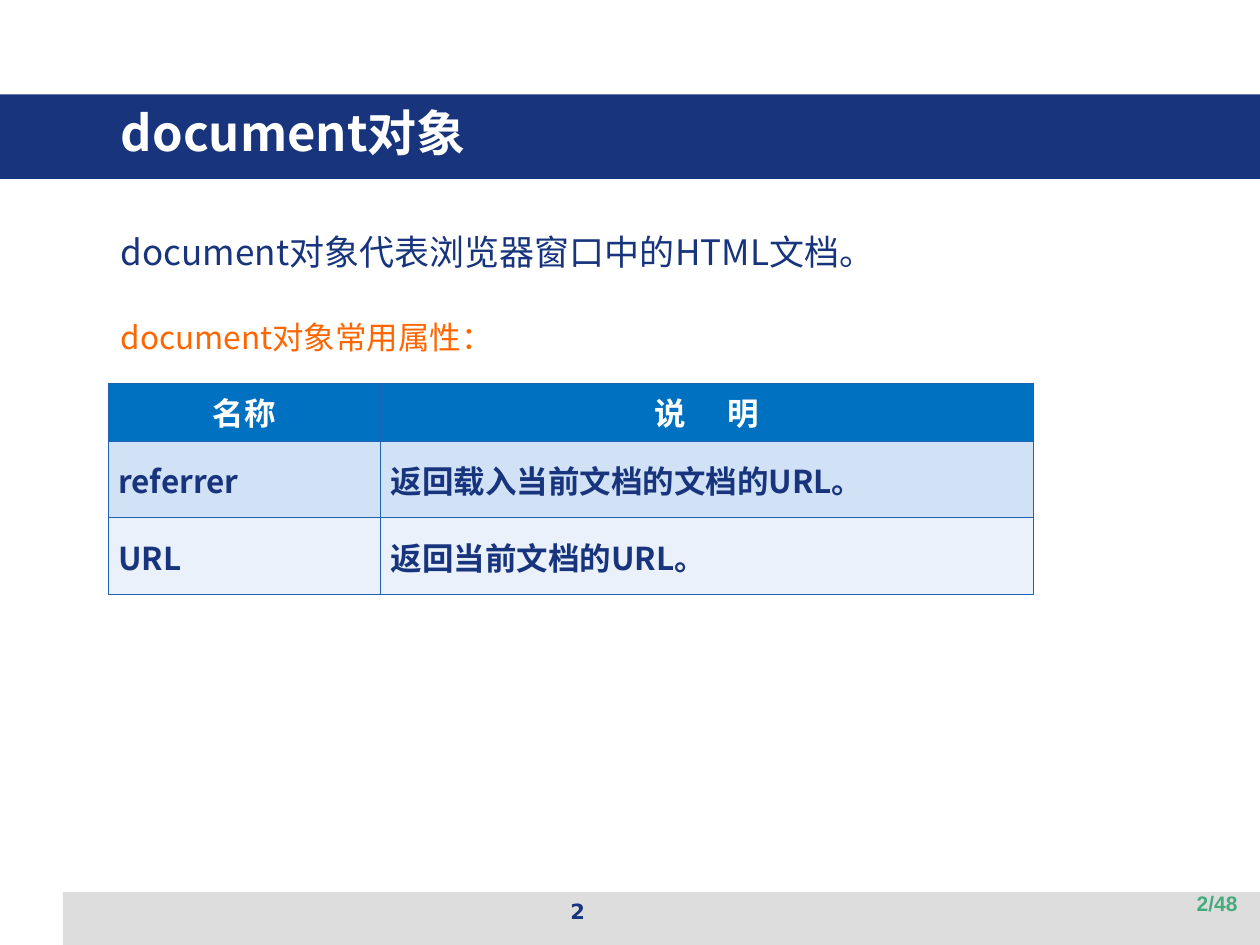
from lxml import etree
from pptx import Presentation
from pptx.dml.color import RGBColor
from pptx.enum.shapes import MSO_SHAPE
from pptx.enum.text import MSO_ANCHOR, PP_ALIGN
from pptx.oxml.ns import qn
from pptx.util import Inches, Pt

RECT = MSO_SHAPE.RECTANGLE
TOP, MIDDLE = MSO_ANCHOR.TOP, MSO_ANCHOR.MIDDLE
LEFT, CENTER, RIGHT = PP_ALIGN.LEFT, PP_ALIGN.CENTER, PP_ALIGN.RIGHT

NAVY = RGBColor(0x17, 0x34, 0x7D)
WHITE = RGBColor(0xFF, 0xFF, 0xFF)
GRAY = RGBColor(0xDD, 0xDD, 0xDD)
ORANGE = RGBColor(0xFF, 0x66, 0x00)
GREEN = RGBColor(0x45, 0xAB, 0x7D)
BLUE = RGBColor(0x00, 0x70, 0xC0)
PALE = RGBColor(0xD2, 0xE2, 0xF6)
LIGHT = RGBColor(0xEA, 0xF1, 0xFB)
EDGE = RGBColor(0x20, 0x62, 0xB4)
SANS = "Noto Sans CJK SC"


class Deck:
    def __init__(self):
        self.prs = Presentation()
        self.prs.slide_width, self.prs.slide_height = Inches(10), Inches(7.5)
        self.slide = self.prs.slides.add_slide(self.prs.slide_layouts[5])
        self.base = {"name": SANS, "size": Pt(18), "color": NAVY, "bold": False}

    def put(self, para, text, align=LEFT, gap=0, **style):
        para.alignment = align
        if gap:
            para.space_before = Pt(gap)
        run = para.add_run()
        run.text = text
        for key, value in {**self.base, **style}.items():
            if key == "color":
                run.font.color.rgb = value
            else:
                setattr(run.font, key, value)
        props = run._r.get_or_add_rPr()
        etree.SubElement(props, qn("a:ea")).set("typeface", SANS)
        return props

    def bar(self, box, color):
        shape = self.slide.shapes.add_shape(RECT, *map(Inches, box))
        shape.shadow.inherit = False
        shape.fill.solid()
        shape.fill.fore_color.rgb = color
        shape.line.fill.background()

    def title(self, box, text, **style):
        shape = self.slide.shapes.title
        shape.left, shape.top, shape.width, shape.height = map(Inches, box)
        tree = self.slide.shapes._spTree
        tree.remove(shape._element)
        tree.append(shape._element)
        shape.text_frame.vertical_anchor = TOP
        self.put(shape.text_frame.paragraphs[0], text, **style)

    def text(self, box, *lines):
        frame = self.slide.shapes.add_textbox(*map(Inches, box)).text_frame
        frame.word_wrap = True
        for i, (text, style) in enumerate(lines):
            para = frame.add_paragraph() if i else frame.paragraphs[0]
            self.put(para, text, **style)

    def edge(self, cell):
        props = cell._tc.get_or_add_tcPr()
        for i, side in enumerate(("lnL", "lnR", "lnT", "lnB")):
            line = etree.Element(qn("a:" + side), w=str(Pt(0.45)))
            fill = etree.SubElement(line, qn("a:solidFill"))
            etree.SubElement(fill, qn("a:srgbClr"), val=str(EDGE))
            props.insert(i, line)

    def cell(self, cell, fill, pad, anchor):
        cell.fill.solid()
        cell.fill.fore_color.rgb = fill
        cell.margin_left = cell.margin_right = Inches(pad)
        cell.vertical_anchor = anchor
        self.edge(cell)
        return cell.text_frame.paragraphs[0]

    def table(self, box, cols, rows, head, body):
        shape = self.slide.shapes.add_table(len(rows), len(cols), *map(Inches, box))
        table = shape.table
        for col, width in zip(table.columns, cols):
            col.width = Inches(width)
        for row, height in zip(table.rows, rows):
            row.height = Inches(height)
        for cell, parts in zip(table.rows[0].cells, head):
            para = self.cell(cell, BLUE, 0.1, TOP)
            for text, space in parts:
                props = self.put(para, text, CENTER, color=WHITE, bold=True)
                props.set("spc", str(space))
        for row, texts, fill in zip(list(table.rows)[1:], body, (PALE, LIGHT)):
            for cell, text in zip(row.cells, texts):
                self.put(self.cell(cell, fill, 0.08, MIDDLE), text, bold=True)


def main():
    deck = Deck()
    deck.bar((0.5, 7.08, 9.5, 0.42), GRAY)
    deck.bar((0, 0.75, 10, 0.67), NAVY)
    deck.text((3.42, 7.08, 2.33, 0.35),
              ("2", {"align": CENTER, "name": "DejaVu Sans", "size": Pt(12), "bold": True}))
    deck.title((0.86, 0.76, 9, 0.9), "document对象", size=Pt(28), color=WHITE, bold=True)
    deck.text((0.86, 1.78, 8.35, 5),
              ("document对象代表浏览器窗口中的HTML文档。", {"size": Pt(20)}),
              ("document对象常用属性：", {"gap": 26, "color": ORANGE}))
    deck.text((7.59, 7.02, 2.33, 0.4),
              ("2/48", {"align": RIGHT, "name": "Arial", "size": Pt(12),
                        "color": GREEN, "bold": True}))
    deck.table((0.86, 3.04, 7.34, 1.68), (2.16, 5.18), (0.46, 0.61, 0.61),
               ([("名称", 0)], [("说 ", 1000), ("明", 0)]),
               (("referrer", "返回载入当前文档的文档的URL。"),
                ("URL", "返回当前文档的URL。")))
    deck.prs.save("out.pptx")


if __name__ == "__main__":
    main()
